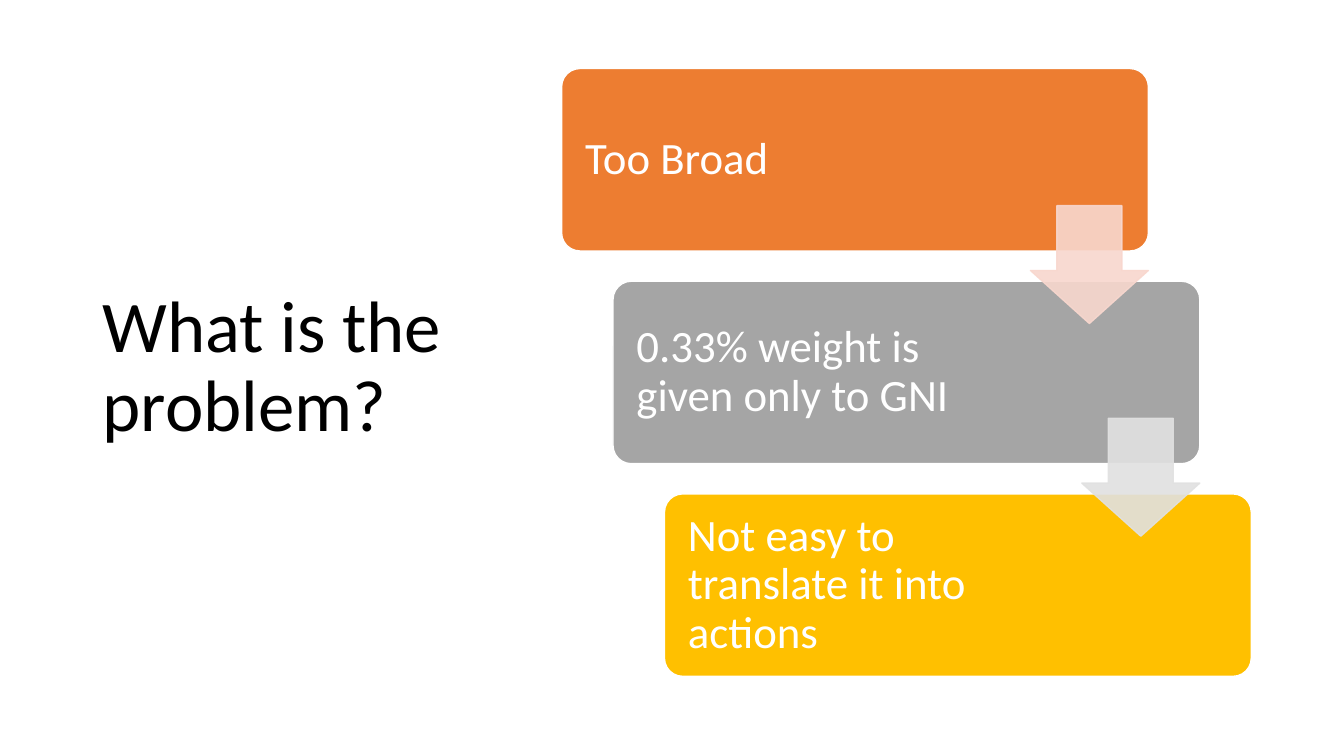
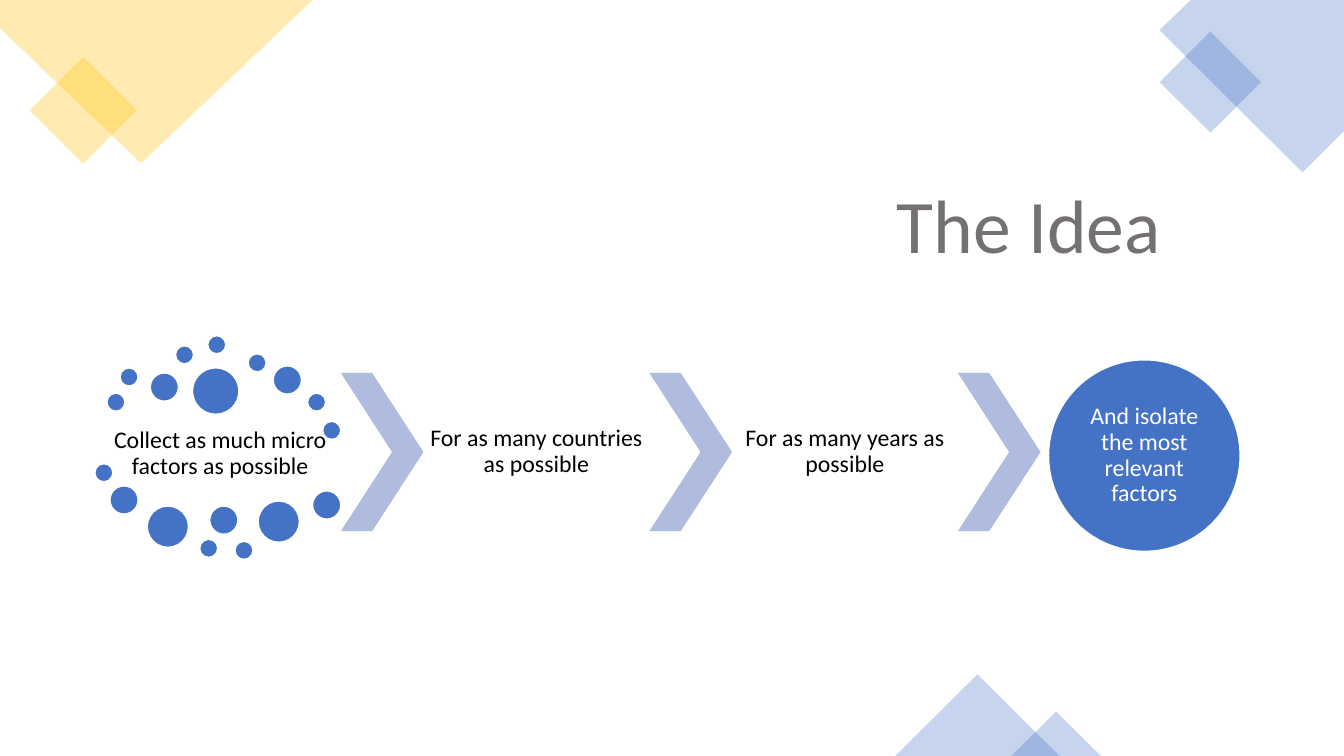
from dataclasses import dataclass

from pptx import Presentation
from pptx import util as u
from pptx.dml.color import RGBColor
from pptx.enum import shapes, text
from pptx.oxml import ns, xmlchemy

Kind = shapes.MSO_SHAPE


@dataclass(frozen=True)
class Theme:
    font: str = "Calibri"
    black: str = "000000"
    white: str = "FFFFFF"
    title_gray: str = "767171"
    orange: str = "ED7D31"
    gray: str = "A5A5A5"
    gold: str = "FFC000"
    blue: str = "4472C4"
    pale_orange: str = "F8D7CE"
    pale_gray: str = "E1E1E1"
    pale_blue: str = "B0BCDE"
    question_size: int = 52
    title_size: int = 54
    box_size: int = 32
    step_size: int = 17
    spacing: float = 0.9
    corner_alpha: int = 30
    arrow_alpha: int = 90


class Builder:
    """Holds the theme, the deck and the slide being filled."""

    def __init__(self, theme):
        self.theme = theme
        self.deck = Presentation()
        self.deck.slide_width = u.Inches(13.33)
        self.deck.slide_height = u.Inches(7.5)
        self.page = None

    def new_page(self):
        self.page = self.deck.slides.add_slide(self.deck.slide_layouts[6])

    def paint(self, shape, fill, line=None, alpha=100):
        shape.shadow.inherit = False
        shape.fill.solid()
        shape.fill.fore_color.rgb = RGBColor.from_string(fill)
        if line:
            shape.line.color.rgb = RGBColor.from_string(line)
            shape.line.width = u.Pt(1)
        else:
            shape.line.fill.background()
        if alpha < 100:
            for color in shape.element.spPr.iter(ns.qn("a:srgbClr")):
                node = xmlchemy.OxmlElement("a:alpha")
                node.set("val", str(alpha * 1000))
                color.append(node)

    def shape(self, kind, at, fill, line=None, alpha=100, adjust=(), turn=0):
        shape = self.page.shapes.add_shape(kind, *map(u.Inches, at))
        for index, value in enumerate(adjust):
            shape.adjustments[index] = value
        shape.rotation = turn
        self.paint(shape, fill, line, alpha)
        return shape

    def outline(self, points, fill, alpha=100):
        corners = [(u.Inches(x), u.Inches(y)) for x, y in points]
        pen = self.page.shapes.build_freeform(*corners[0])
        pen.add_line_segments(corners[1:], close=True)
        self.paint(pen.convert_to_shape(), fill, alpha=alpha)

    def set_text(self, shape, words, size, color, align=text.PP_ALIGN.CENTER,
                 insets=(0, 0, 0, 0), wrap=True):
        frame = shape.text_frame
        frame.text = words
        frame.word_wrap = wrap
        frame.vertical_anchor = text.MSO_ANCHOR.MIDDLE
        (frame.margin_left, frame.margin_top,
         frame.margin_right, frame.margin_bottom) = map(u.Inches, insets)
        para = frame.paragraphs[0]
        para.alignment = align
        para.line_spacing = self.theme.spacing
        span = para.runs[0]
        span.font.name = self.theme.font
        span.font.size = u.Pt(size)
        span.font.color.rgb = RGBColor.from_string(color)

    def label(self, at, words, size, color, **style):
        box = self.page.shapes.add_textbox(*map(u.Inches, at))
        self.set_text(box, words, size, color, **style)


def build_problem(builder):
    theme = builder.theme
    builder.new_page()
    builder.label((0.92, 0.61, 3.69, 6.09), "What is the problem?",
                  theme.question_size, theme.black,
                  align=text.PP_ALIGN.LEFT, insets=(0.1, 0.05, 0.1, 0.05))

    # Staircase of boxes
    left, top, step_x, step_y = 5.57, 0.68, 0.51, 2.11
    problems = [
        ("Too Broad", theme.orange),
        ("0.33% weight is given only to GNI", theme.gray),
        ("Not easy to translate it into actions", theme.gold),
    ]
    for index, (words, color) in enumerate(problems):
        at = (left + index * step_x, top + index * step_y, 5.82, 1.81)
        box = builder.shape(Kind.ROUNDED_RECTANGLE, at, color, theme.white,
                            adjust=(0.1,))
        builder.set_text(box, words, theme.box_size, theme.white,
                         align=text.PP_ALIGN.LEFT,
                         insets=(0.18, 0.13, 1.87, 0.13))

    # Arrows from each box to the next
    for index, color in enumerate((theme.pale_orange, theme.pale_gray)):
        at = (left + 4.65 + index * step_x, top + 1.36 + index * step_y,
              1.17, 1.17)
        builder.shape(Kind.DOWN_ARROW, at, color, color, theme.arrow_alpha,
                      adjust=(0.55, 0.45))


def build_idea(builder):
    theme = builder.theme
    builder.new_page()

    # Corner decoration
    faint = theme.corner_alpha
    builder.shape(Kind.RECTANGLE, (0.45, 0.72, 0.75, 0.75), theme.gold,
                  alpha=faint, turn=45)
    builder.outline([(0, 0), (3.1, 0), (1.4, 1.62), (0, 0.28)],
                    theme.gold, faint)
    builder.outline([(11.81, 0), (13.33, 0), (13.33, 1.3), (12.92, 1.71),
                     (11.5, 0.3)], theme.blue, faint)
    builder.shape(Kind.RECTANGLE, (11.65, 0.46, 0.71, 0.71), theme.blue,
                  alpha=faint, turn=45)
    for at in ((8.88, 6.69, 1.63, 0.81), (10.03, 7.06, 0.89, 0.44)):
        builder.shape(Kind.ISOSCELES_TRIANGLE, at, theme.blue, alpha=faint)

    builder.label((8.78, 1.77, 2.85, 1.01), "The Idea", theme.title_size,
                  theme.title_gray, wrap=False)

    # Cloud of dots, grouped by diameter
    dots = {
        0.18: [(1.06, 3.9), (1.19, 3.65), (1.74, 3.43), (2.06, 3.33),
               (2.46, 3.51), (3.05, 3.9), (3.2, 4.18), (0.94, 4.6),
               (1.98, 5.35), (2.33, 5.37)],
        0.28: [(1.49, 3.7), (2.71, 3.63), (1.09, 4.82), (2.08, 5.02),
               (3.1, 4.87)],
        0.41: [(1.46, 5.02), (2.56, 4.97)],
        0.46: [(1.91, 3.65)],
    }
    for size, places in dots.items():
        for x, y in places:
            builder.shape(Kind.OVAL, (x, y, size, size), theme.blue, theme.white)

    # Chevrons at an equal pitch, with the steps between them
    first, pitch, width, top, height = 3.38, 3.06, 0.82, 3.7, 1.57
    for index in range(3):
        builder.shape(Kind.CHEVRON, (first + index * pitch, top, width, height),
                      theme.pale_blue, adjust=(0.62,))
    gap = pitch - width
    steps = [
        ((1.07, 4.13, 2.23, 0.74), "Collect as much micro factors as possible"),
        ((first + width, top, gap, height), "For as many countries as possible"),
        ((first + width + pitch, top, gap, height),
         "For as many years as possible"),
    ]
    for at, words in steps:
        builder.label(at, words, theme.step_size, theme.black, insets=(0.02,) * 4)

    # Result
    circle = builder.shape(Kind.OVAL, (10.4, 3.57, 1.9, 1.9), theme.blue,
                           theme.white)
    builder.set_text(circle, "And isolate the most relevant factors",
                     theme.step_size, theme.white)


def main():
    builder = Builder(Theme())
    build_problem(builder)
    build_idea(builder)
    builder.deck.save("out.pptx")


if __name__ == "__main__":
    main()
